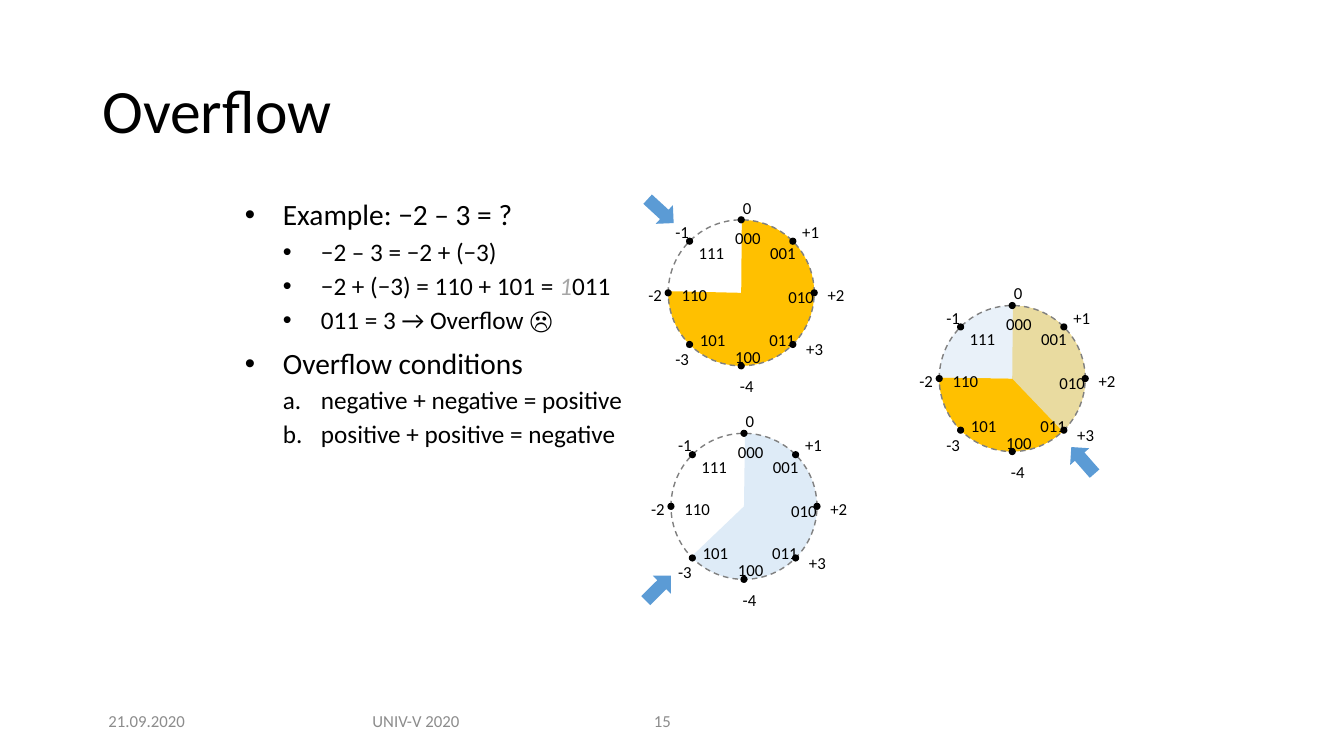
from dataclasses import dataclass
from math import cos, radians, sin

from lxml.etree import SubElement
from pptx import Presentation
from pptx.dml.color import RGBColor
from pptx.enum.dml import MSO_LINE_DASH_STYLE as Dash
from pptx.enum.shapes import MSO_SHAPE as Shape
from pptx.enum.text import MSO_ANCHOR as Anchor, PP_ALIGN as Align
from pptx.oxml.ns import qn
from pptx.util import Cm, Pt


@dataclass(frozen=True)
class Theme:
    font: str = "Calibri"
    ink: str = "000000"
    faint: str = "A6A6A6"
    footer: str = "8C8C8C"
    ring: str = "808080"
    arrow: str = "5B9BD5"
    gold: str = "FFC000"
    pale: str = "DEEBF7"
    title_size: int = 44
    level_sizes: tuple = (21, 18)
    small_size: int = 12


theme = Theme()

# Content: level, marker, text pieces (the second piece is the faint carry bit)
TITLE = "Overflow"
BODY = [
    (0, "•", ["Example: −2 – 3 = ?"]),
    (1, "•", ["−2 – 3 = −2 + (−3)"]),
    (1, "•", ["−2 + (−3) = 110 + 101 = ", "1", "011"]),
    (1, "•", ["011 = 3 → Overflow ☹"]),
    (0, "•", ["Overflow conditions"]),
    (1, "a.", ["negative + negative = positive"]),
    (1, "a.", ["positive + positive = negative"]),
]
# Footer: text, left, width, alignment
FOOTERS = [
    ("21.09.2020", 2.34, 2.72, Align.CENTER),
    ("UNIV-V 2020", 8.48, 4.01, Align.CENTER),
    ("15", 16.23, 2.0, Align.LEFT),
]
# Dial labels: text, centre measured from the dial centre
LABELS = [
    ("000", 0.17, -1.38), ("001", 1.05, -1.0),
    ("010", 1.51, 0.11), ("011", 1.03, 1.18),
    ("100", 0.17, 1.61), ("101", -0.72, 1.18),
    ("110", -1.18, 0.06), ("111", -0.75, -1.0),
    ("0", 0.15, -2.15), ("+1", 1.75, -1.54),
    ("+2", 2.39, 0.06), ("+3", 1.85, 1.41),
    ("-4", 0.14, 2.35), ("-3", -1.49, 1.66),
    ("-2", -2.17, 0.06), ("-1", -1.49, -1.54),
]
# Dials: centre, sectors (start, end, colour, opacity), arrow (x, y, rotation)
DIALS = [
    ((18.68, 7.38), [(270.5, 181.3, theme.gold, 100)], (-2.03, -2.06, 312.5)),
    ((18.75, 12.76), [(270.8, 136.3, theme.pale, 100)], (-2.16, 2.06, 225.2)),
    ((25.51, 9.54), [(270.5, 180.8, theme.gold, 100),
                     (180.8, 46.3, theme.pale, 65)], (1.78, 2.06, 138.8)),
]
RADIUS, DOT, INDENT = 1.84, 0.18, 0.96
ARROW_SIZE = (0.64, 0.89)
LABEL_WIDTHS, LABEL_HEIGHT = {1: 0.8, 2: 1.05, 3: 1.25}, 0.76


def style(span, size, color=theme.ink):
    span.font.name = theme.font
    span.font.size = Pt(size)
    span.font.color.rgb = RGBColor.from_string(color)


def add_text(shapes, text, place, size, color=theme.ink, align=Align.LEFT, wrap=True):
    box = shapes.add_textbox(*map(Cm, place))
    frame = box.text_frame
    frame.text = text
    frame.word_wrap = wrap
    frame.vertical_anchor = Anchor.MIDDLE
    frame.paragraphs[0].alignment = align
    style(frame.paragraphs[0].runs[0], size, color)
    return box


def add_centred(shapes, kind, x, y, width, height, color=None, opacity=100):
    shape = shapes.add_shape(kind, *map(Cm, (x - width / 2, y - height / 2, width, height)))
    shape.shadow.inherit = False
    shape.line.fill.background()
    if color is None:
        shape.fill.background()
        return shape
    shape.fill.solid()
    shape.fill.fore_color.rgb = RGBColor.from_string(color)
    if opacity < 100:
        tint = shape.fill._xPr.find(qn("a:solidFill"))[0]
        SubElement(tint, qn("a:alpha"), val=str(opacity * 1000))
    return shape


def set_bullet(para, level, marker):
    props = para._p.get_or_add_pPr()
    props.set("marL", str(Cm(INDENT * (level + 1))))
    props.set("indent", str(Cm(-INDENT)))
    if marker == "•":
        SubElement(props, qn("a:buFont"), typeface="Arial")
        SubElement(props, qn("a:buChar"), char=marker)
    else:
        SubElement(props, qn("a:buAutoNum"), type="alphaLcPeriod")


def add_dial(page, centre, sectors, arrow):
    shapes = page.shapes.add_group_shape().shapes
    x, y = centre
    for start, end, color, opacity in sectors:
        pie = add_centred(shapes, Shape.PIE, x, y, 2 * RADIUS, 2 * RADIUS, color, opacity)
        # Angles are stored in 1/60000 degree, adjustments in 1/100000
        pie.adjustments[0], pie.adjustments[1] = start * 0.6, end * 0.6
    ring = add_centred(shapes, Shape.OVAL, x, y, 2 * RADIUS, 2 * RADIUS)
    ring.line.color.rgb = RGBColor.from_string(theme.ring)
    ring.line.width = Pt(1)
    ring.line.dash_style = Dash.DASH
    for angle in range(0, 360, 45):
        add_centred(shapes, Shape.OVAL, x + RADIUS * cos(radians(angle)),
                    y + RADIUS * sin(radians(angle)), DOT, DOT, theme.ink)
    for text, dx, dy in LABELS:
        width = LABEL_WIDTHS[len(text)]
        place = (x + dx - width / 2, y + dy - LABEL_HEIGHT / 2, width, LABEL_HEIGHT)
        add_text(shapes, text, place, theme.small_size, align=Align.CENTER, wrap=False)
    dx, dy, rotation = arrow
    pointer = add_centred(shapes, Shape.DOWN_ARROW, x + dx, y + dy, *ARROW_SIZE, theme.arrow)
    pointer.rotation = rotation


deck = Presentation()
deck.slide_width, deck.slide_height = Cm(33.87), Cm(19.05)
page = deck.slides.add_slide(deck.slide_layouts[6])

# Title
title = add_text(page.shapes, TITLE, (2.33, 1.01, 29.21, 3.68), theme.title_size)
title.text_frame.paragraphs[0].line_spacing = 0.9

# Bulleted text
body = page.shapes.add_textbox(Cm(5.92), Cm(4.93), Cm(10.19), Cm(10.69)).text_frame
body.word_wrap = True
for index, (level, marker, pieces) in enumerate(BODY):
    para = body.add_paragraph() if index else body.paragraphs[0]
    para.level = level
    para.line_spacing = 0.9
    para.space_before = Pt(5 if level else 10)
    set_bullet(para, level, marker)
    for position, piece in enumerate(pieces):
        span = para.add_run()
        span.text = piece
        carry = position == 1
        style(span, theme.level_sizes[level], theme.faint if carry else theme.ink)
        span.font.italic = carry

# Number dials
for dial in DIALS:
    add_dial(page, *dial)

# Footer
for text, left, width, align in FOOTERS:
    add_text(page.shapes, text, (left, 17.65, width, 1.02), theme.small_size, theme.footer, align)

deck.save("out.pptx")
